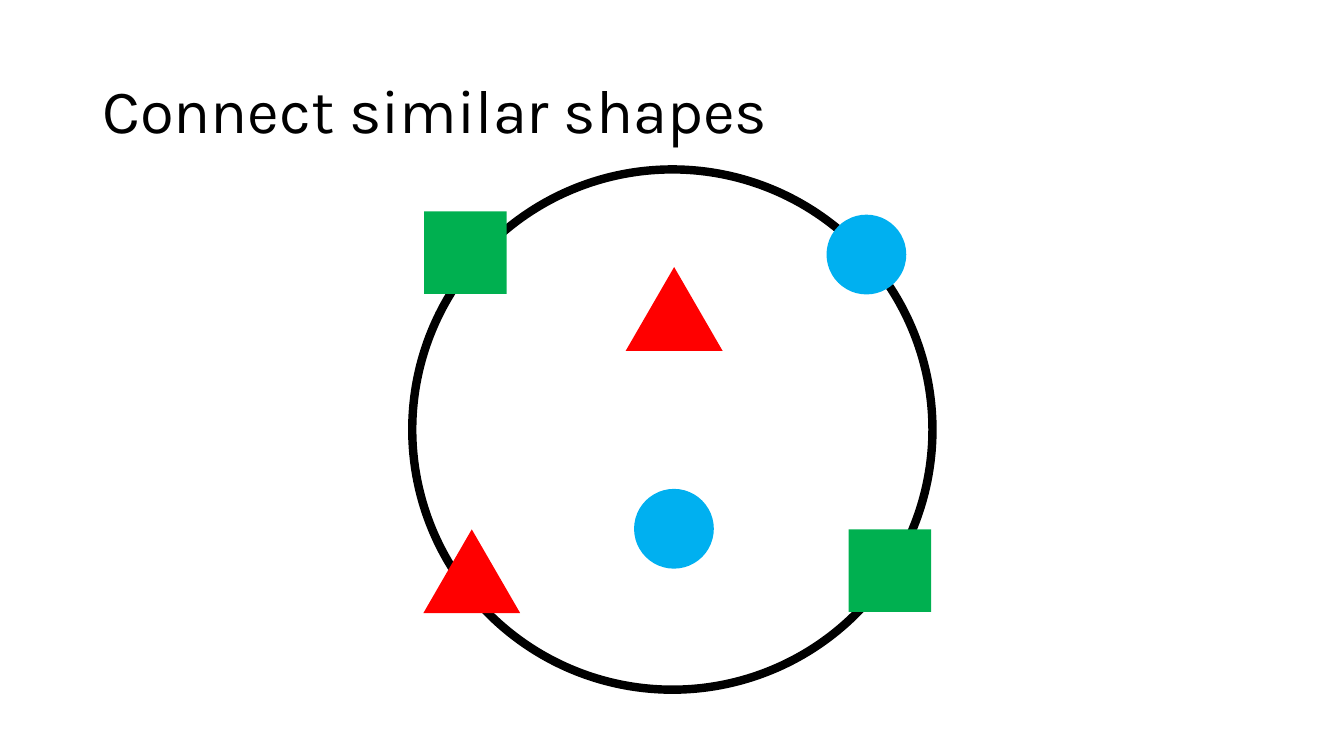
from pptx import Presentation
from pptx.dml.color import RGBColor
from pptx.enum.shapes import MSO_SHAPE as Preset
from pptx.enum.text import MSO_ANCHOR as Anchor
from pptx.util import Cm, Pt

COLOURS = {"black": "000000", "red": "FF0000", "blue": "00B0F0", "green": "00B050"}
TITLE = "Connect similar shapes"
RING = {"left": 10.39, "top": 4.27, "size": 13.11, "line_width": 6}

# preset, colour, (width, height), (left, top) of each member of the pair; lengths in cm
PAIRS = [
    (Preset.ISOSCELES_TRIANGLE, "red", (2.44, 2.11), [(10.67, 13.34), (15.77, 6.73)]),
    (Preset.OVAL, "blue", (2.01, 2.01), [(20.83, 5.41), (15.98, 12.32)]),
    (Preset.RECTANGLE, "green", (2.08, 2.08), [(10.69, 5.33), (21.39, 13.34)]),
]


def colour(name):
    return RGBColor.from_string(COLOURS[name])


def add_text(slide, text, *, box, size, font, color, line_spacing):
    shape = slide.shapes.add_textbox(*map(Cm, box))
    frame = shape.text_frame
    frame.word_wrap = True
    frame.vertical_anchor = Anchor.MIDDLE
    paragraph = frame.paragraphs[0]
    paragraph.line_spacing = line_spacing
    run = paragraph.add_run()
    run.text = text
    run.font.size = Pt(size)
    run.font.name = font
    run.font.color.rgb = colour(color)


def add_figure(slide, preset, box, fill=None, line=None, line_width=0):
    """Add a preset shape; without a fill or line colour, that part is left empty."""
    shape = slide.shapes.add_shape(preset, *map(Cm, box))
    shape.shadow.inherit = False
    if fill:
        shape.fill.solid()
        shape.fill.fore_color.rgb = colour(fill)
    else:
        shape.fill.background()
    if line:
        shape.line.color.rgb = colour(line)
        shape.line.width = Pt(line_width)
    else:
        shape.line.fill.background()


def main():
    presentation = Presentation()
    presentation.slide_width = Cm(33.87)
    presentation.slide_height = Cm(19.05)
    slide = presentation.slides.add_slide(presentation.slide_layouts[6])

    add_text(slide, TITLE, box=(2.33, 1.01, 29.21, 3.68), size=44,
             font="Karla", color="black", line_spacing=0.9)
    add_figure(slide, Preset.OVAL,
               (RING["left"], RING["top"], RING["size"], RING["size"]),
               line="black", line_width=RING["line_width"])
    for preset, fill, size, corners in PAIRS:
        for corner in corners:
            add_figure(slide, preset, corner + size, fill=fill)

    presentation.save("out.pptx")


if __name__ == "__main__":
    main()
